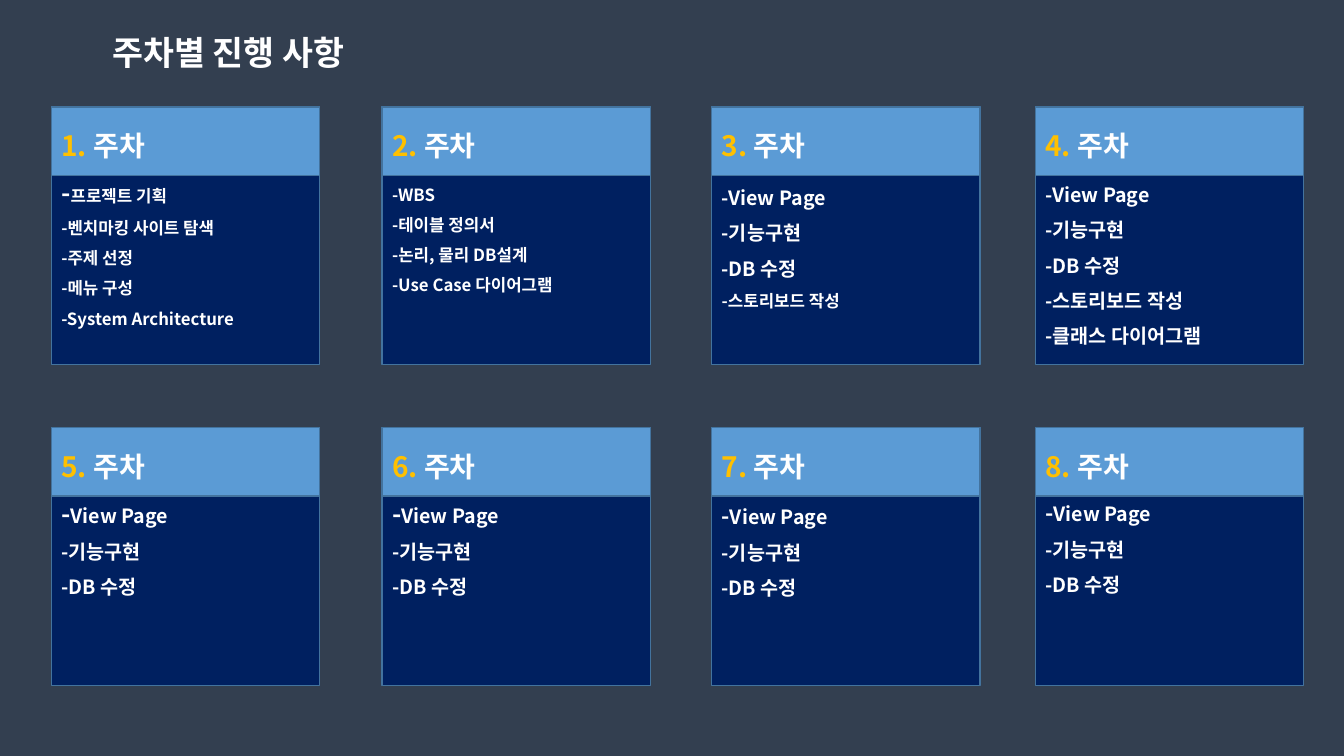
from lxml import etree
from pptx import Presentation, util as u
from pptx.dml.color import RGBColor
from pptx.enum import shapes, text
from pptx.oxml.ns import qn

TITLE = "주차별 진행 사항"
LABEL = "주차"
BASIC = ["View Page", "기능구현", "DB 수정"]
# Each week: gap under the heading (pt), size of the first dash, lines by size
WEEKS = [
    (0, 18, {12: ["프로젝트 기획", "벤치마킹 사이트 탐색", "주제 선정", "메뉴 구성",
                  "System Architecture"]}),
    (8.7, 12, {12: ["WBS", "테이블 정의서", "논리, 물리 DB설계", "Use Case 다이어그램"]}),
    (8.7, 14, {14: BASIC, 12: ["스토리보드 작성"]}),
    (6.5, 14, {14: BASIC + ["스토리보드 작성", "클래스 다이어그램"]}),
    (0, 18, {14: BASIC}),
    (0, 18, {14: BASIC}),
    (4.4, 16, {14: BASIC}),
    (2.2, 16, {14: BASIC}),
]
LEFTS = [0.51, 3.79, 7.06, 10.27]
TOPS = [1.06, 4.24]
WIDE, HIGH, HEAD = 2.66, 2.56, 0.68

FONT = "Noto Sans CJK KR"
SLATE = RGBColor(0x33, 0x3F, 0x50)
NAVY = RGBColor(0x00, 0x20, 0x60)
BLUE = RGBColor(0x5B, 0x9B, 0xD5)
EDGE = RGBColor(0x43, 0x73, 0x9E)
GOLD = RGBColor(0xFF, 0xC0, 0x00)
WHITE = RGBColor(0xFF, 0xFF, 0xFF)


def add_run(para, words, size, color=WHITE):
    run = para.add_run()
    run.text = words
    form = {"name": FONT, "size": u.Pt(size), "bold": True}
    for key, value in form.items():
        setattr(run.font, key, value)
    run.font.color.rgb = color
    east = etree.SubElement(run.font._element, qn("a:ea"))
    east.set("typeface", FONT)


def add_panel(slide, left, top, high, color):
    box = slide.shapes.add_shape(shapes.MSO_SHAPE.RECTANGLE, u.Inches(left),
                                 u.Inches(top), u.Inches(WIDE), u.Inches(high))
    box.shadow.inherit = False
    box.fill.solid()
    box.fill.fore_color.rgb = color
    box.line.color.rgb = EDGE
    box.line.width = u.Pt(1)


def add_week(slide, num, left, top, gap, dash, groups):
    add_panel(slide, left, top, HIGH, NAVY)
    add_panel(slide, left, top, HEAD, BLUE)
    box = slide.shapes.add_textbox(u.Inches(left), u.Inches(top),
                                   u.Inches(WIDE), u.Inches(HIGH))
    frame = box.text_frame
    frame.word_wrap = True
    head = frame.paragraphs[0]
    head.line_spacing = 1.5
    head.space_after = u.Pt(gap)
    add_run(head, f"{num}. ", 20, GOLD)
    add_run(head, LABEL, 20)
    lines = [(line, size) for size, group in groups.items() for line in group]
    for i, (line, size) in enumerate(lines):
        para = frame.add_paragraph()
        para.line_spacing = 1.5
        if i == 0 and dash != size:
            add_run(para, "-", dash)
            add_run(para, line, size)
        else:
            add_run(para, "-" + line, size)


def main():
    deck = Presentation()
    deck.slide_width, deck.slide_height = u.Inches(13.33), u.Inches(7.5)
    slide = deck.slides.add_slide(deck.slide_layouts[5])
    slide.background.fill.solid()
    slide.background.fill.fore_color.rgb = SLATE

    title = slide.shapes.title
    place = {"left": 0, "top": 0.27, "width": 4.53, "height": 0.5}
    for key, value in place.items():
        setattr(title, key, u.Inches(value))
    frame = title.text_frame
    frame.auto_size = text.MSO_AUTO_SIZE.NONE
    frame.vertical_anchor = text.MSO_ANCHOR.MIDDLE
    frame.paragraphs[0].alignment = text.PP_ALIGN.CENTER
    add_run(frame.paragraphs[0], TITLE, 24)

    for i, week in enumerate(WEEKS):
        row, col = divmod(i, len(LEFTS))
        add_week(slide, i + 1, LEFTS[col], TOPS[row], *week)
    deck.save("out.pptx")


if __name__ == "__main__":
    main()
